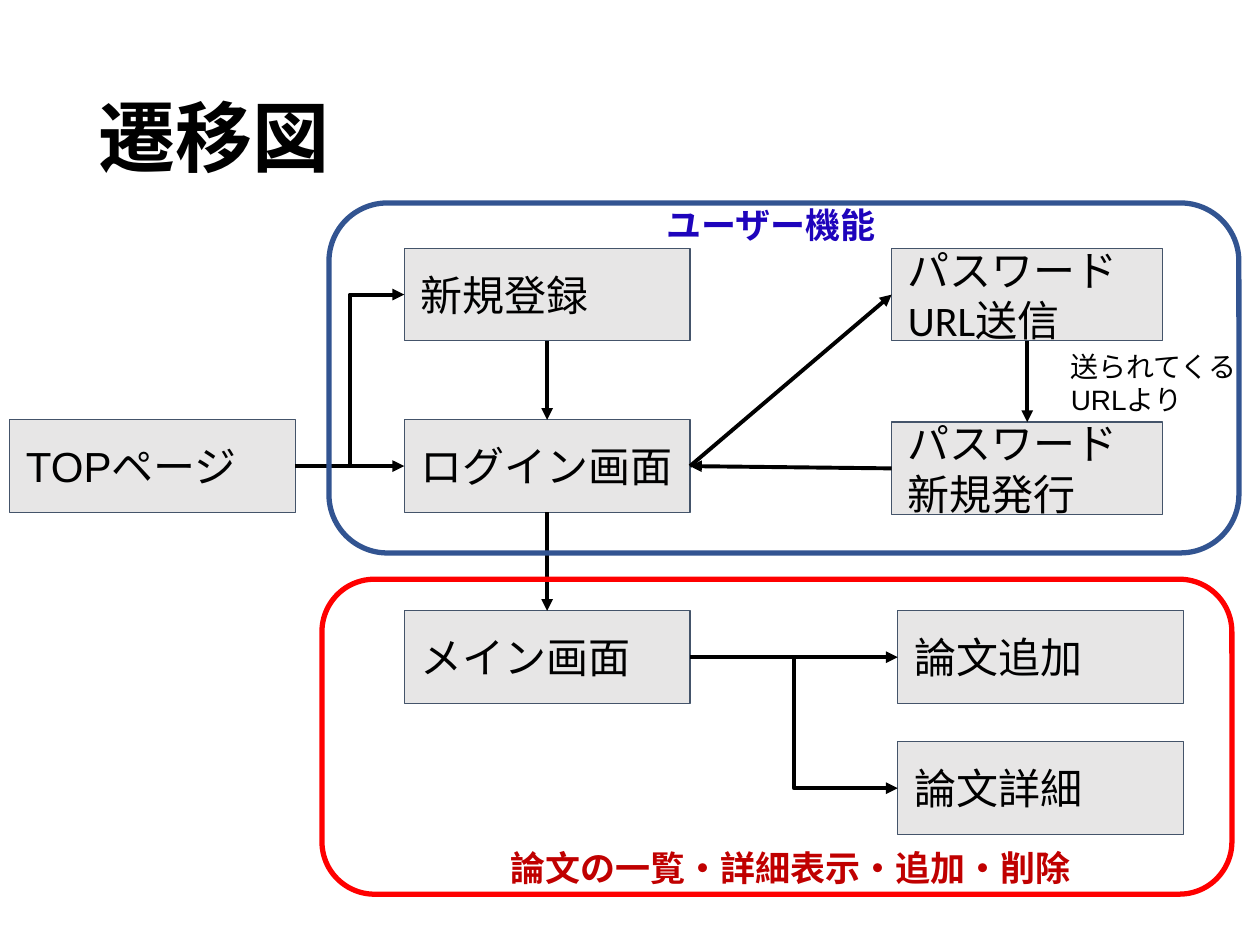
from dataclasses import dataclass

from lxml import etree
from pptx import Presentation
from pptx.dml.color import RGBColor
from pptx.enum.shapes import MSO_CONNECTOR, MSO_SHAPE
from pptx.enum.text import MSO_ANCHOR, PP_ALIGN
from pptx.oxml.ns import qn
from pptx.util import Pt

RECT = MSO_SHAPE.RECTANGLE
ROUND = MSO_SHAPE.ROUNDED_RECTANGLE
LINE = MSO_CONNECTOR.STRAIGHT
BENT = MSO_CONNECTOR.ELBOW
MIDDLE = MSO_ANCHOR.MIDDLE
TOP = MSO_ANCHOR.TOP
LEFT = PP_ALIGN.LEFT

# Connection sites of a rectangle
NORTH, WEST, SOUTH, EAST = range(4)


@dataclass(frozen=True)
class Theme:
    """Colours, fonts and type sizes."""
    ink: str = "000000"
    fill: str = "E7E6E6"
    edge: str = "44546A"
    blue: str = "325491"
    red: str = "FF0000"
    user: str = "1E04BC"
    paper: str = "C00000"
    sans: str = "Arial"
    alt: str = "Calibri"
    title: float = 44
    node: float = 24
    label: float = 20
    note: float = 16


THEME = Theme()
WIDE, HIGH, SLIM = 163.3, 52.9, 155
NODES = {
    "top": (5.5, 239.9, WIDE, ["TOPページ"]),
    "new": (231, 141.9, WIDE, ["新規登録"]),
    "login": (231, 239.9, WIDE, ["ログイン画面"]),
    "main": (231, 349.1, WIDE, ["メイン画面"]),
    "send": (509.5, 141.9, SLIM, ["パスワード", ("URL", THEME.alt), "送信"]),
    "reset": (509.5, 241.2, SLIM, ["パスワード新規発行"]),
    "add": (513, 349.1, WIDE, ["論文追加"]),
    "detail": (513, 423.9, WIDE, ["論文詳細"]),
}
ARROWS = [
    (LINE, "login", EAST, "send", WEST),
    (LINE, "new", SOUTH, "login", NORTH),
    (LINE, "login", SOUTH, "main", NORTH),
    (LINE, "top", EAST, "login", WEST),
    (BENT, "top", EAST, "new", WEST),
    (LINE, "main", EAST, "add", WEST),
    (BENT, "main", EAST, "detail", WEST),
    (LINE, "send", SOUTH, "reset", NORTH),
    (LINE, "reset", WEST, "login", EAST),
]


def paint(font, size, color, face, bold=False):
    """Set size, colour, face and weight of a font."""
    font.size = Pt(size)
    font.color.rgb = RGBColor.from_string(color)
    font.name = face
    font.bold = bold


def write(frame, parts, size, color=THEME.ink, face=THEME.sans,
          bold=False, anchor=TOP, pad=None):
    """Fill a text frame; a part may be a (text, face) pair."""
    frame.word_wrap = True
    frame.vertical_anchor = anchor
    if pad is not None:
        frame.margin_left = frame.margin_right = Pt(pad)
        frame.margin_top = frame.margin_bottom = Pt(pad)
    para = frame.paragraphs[0]
    para.alignment = LEFT
    paint(para.font, size, color, face, bold)
    for part in parts:
        text, own = (part, face) if isinstance(part, str) else part
        run = para.add_run()
        run.text = text
        paint(run.font, size, color, own, bold)
    return para


def label(slide, spot, parts, size, **look):
    """Add a text box at spot (left, top, width, height)."""
    box = slide.shapes.add_textbox(*map(Pt, spot))
    return write(box.text_frame, parts, size, **look)


def shape(slide, kind, spot, color, width):
    """Add a flat outlined shape."""
    item = slide.shapes.add_shape(kind, *map(Pt, spot))
    item.shadow.inherit = False
    item.line.color.rgb = RGBColor.from_string(color)
    item.line.width = Pt(width)
    return item


def node(slide, left, top, width, parts):
    """Add one grey screen box."""
    box = shape(slide, RECT, (left, top, width, HIGH), THEME.edge, 0.75)
    box.fill.solid()
    box.fill.fore_color.rgb = RGBColor.from_string(THEME.fill)
    write(box.text_frame, parts, THEME.node, anchor=MIDDLE, pad=9.35)
    return box


def group(slide, spot, color):
    """Add a hollow rounded frame round a group of screens."""
    shape(slide, ROUND, spot, color, 3).fill.background()


def arrow(slide, kind, start, out, end, into):
    """Join two boxes with an arrow between their sites."""
    link = slide.shapes.add_connector(kind, 0, 0, 0, 0)
    link.begin_connect(start, out)
    link.end_connect(end, into)
    link.line.color.rgb = RGBColor.from_string(THEME.ink)
    link.line.width = Pt(2.25)
    props = link.element.spPr
    tip = etree.SubElement(props.find(qn("a:ln")), qn("a:tailEnd"))
    tip.set("type", "triangle")
    etree.SubElement(props, qn("a:effectLst"))


def main():
    """Build and save the screen flow slide."""
    deck = Presentation()
    deck.slide_width, deck.slide_height = Pt(720), Pt(540)
    slide = deck.slides.add_slide(deck.slide_layouts[6])

    title = label(slide, (49.5, 28.8, 621, 104.4), ["遷移図"],
                  THEME.title, bold=True, anchor=MIDDLE)
    title.line_spacing = 0.9

    boxes = {name: node(slide, *data) for name, data in NODES.items()}
    for kind, start, out, end, into in ARROWS:
        arrow(slide, kind, boxes[start], out, boxes[end], into)

    group(slide, (188, 116, 520, 200), THEME.blue)
    group(slide, (184, 331, 520, 180), THEME.red)
    label(slide, (373.7, 113, 189, 31.5), ["ユーザー機能"],
          THEME.label, color=THEME.user, face=THEME.alt, bold=True)
    label(slide, (284.4, 480.2, 338, 31.5),
          ["論文の一覧・詳細表示・追加・削除"],
          THEME.label, color=THEME.paper, face=THEME.alt, bold=True)
    label(slide, (602.6, 190.1, 117.4, 58.3),
          ["送られてくる", ("URLより", THEME.sans)],
          THEME.note, face=THEME.alt, pad=9.35)

    deck.save("out.pptx")


main()
